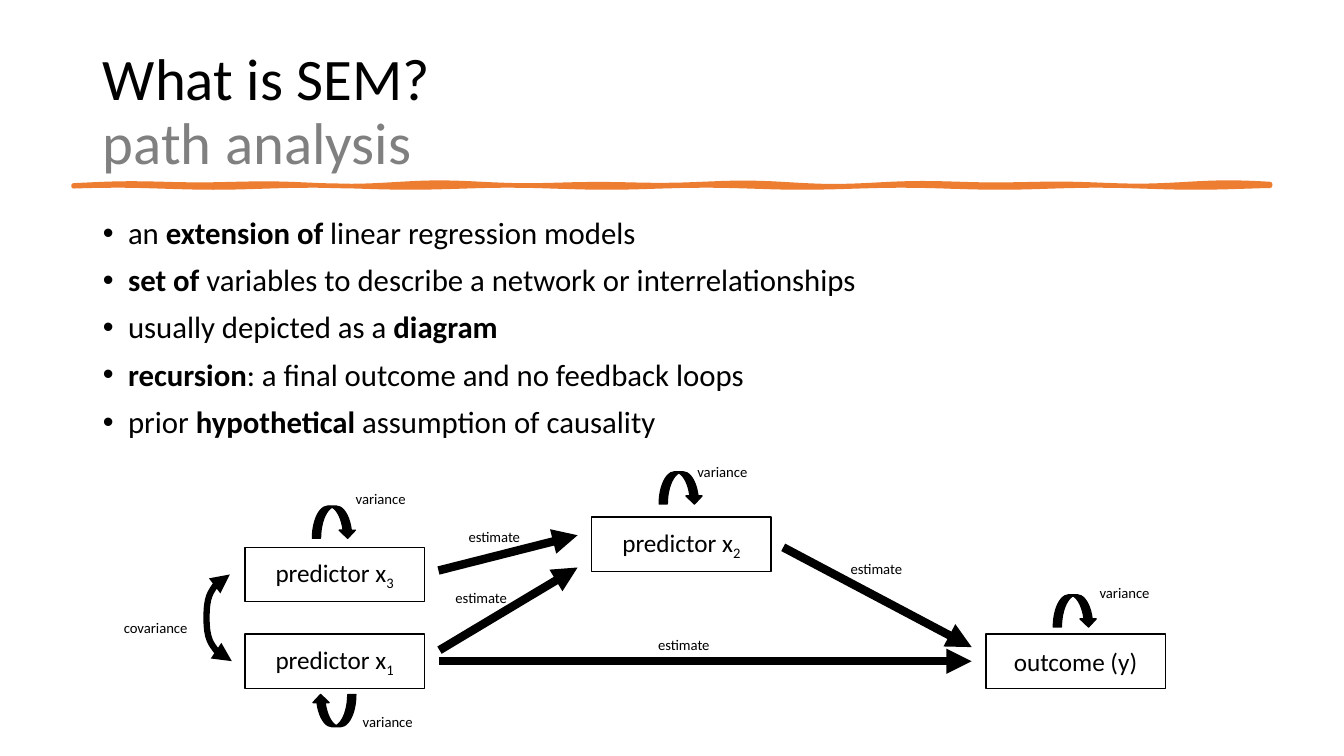
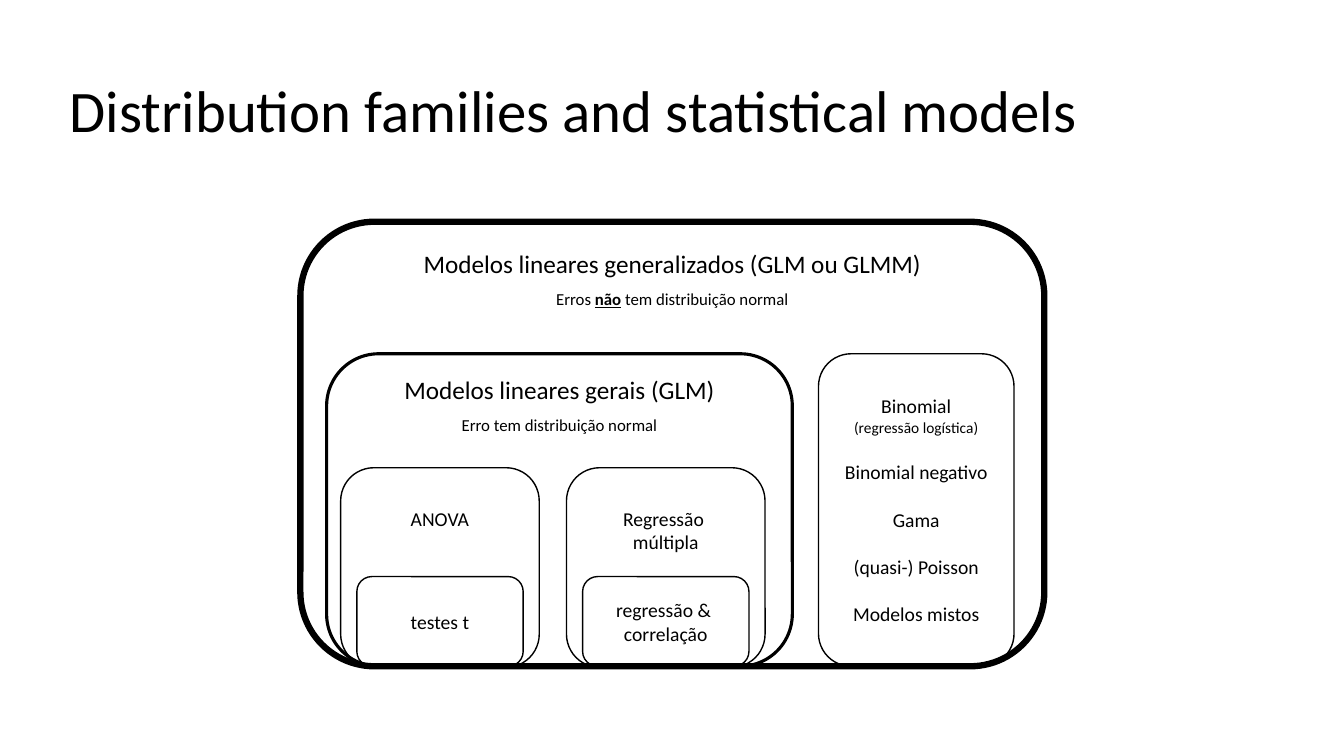
from dataclasses import dataclass
from math import sin

from lxml.etree import SubElement
from pptx import Presentation
from pptx.dml.color import RGBColor as RGB
from pptx.enum.shapes import MSO_CONNECTOR as LINE, MSO_SHAPE as SHAPE
from pptx.enum.text import MSO_ANCHOR as ANCHOR, MSO_AUTO_SIZE as AUTO, PP_ALIGN as ALIGN
from pptx.oxml.ns import qn
from pptx.util import Inches, Pt


@dataclass(frozen=True)
class Theme:
    ink: RGB = RGB(0, 0, 0)
    muted: RGB = RGB(0x80, 0x80, 0x80)
    paper: RGB = RGB(255, 255, 255)
    accent: RGB = RGB(0xED, 0x7D, 0x31)
    font: str = "Calibri"
    title: float = 42
    body: float = 22
    heading: float = 18
    item: float = 14
    note: float = 12
    detail: float = 11
    label: float = 10.5


T = Theme()
CELL = Inches(0.1)  # the slide is 133.3 columns by 75 rows
COLS, ROWS = 133.33, 75
NODE_W, NODE_H = 17.8, 5.4


def grid(*cells):
    """Turn columns or rows of the grid into EMU."""
    return [round(c * CELL) for c in cells]


def add_runs(p, runs, size):
    """Add runs; each is a text or a (text, style) pair."""
    for run in runs:
        text, style = (run, "") if isinstance(run, str) else run
        r = p.add_run()
        r.text = text
        font = r.font
        font.name, font.size = T.font, Pt(size)
        font.color.rgb = T.muted if style == "muted" else T.ink
        if "bold" in style:
            font.bold = True
        if "underline" in style:
            font.underline = True
        if style == "sub":
            r._r.get_or_add_rPr().set("baseline", "-25000")


def paragraphs(tf):
    """Yield the first paragraph, then new ones without end."""
    yield tf.paragraphs[0]
    while True:
        yield tf.add_paragraph()


def style_master(prs):
    style = prs.slide_master.element.find(".//" + qn("p:titleStyle"))
    level = style.find(qn("a:lvl1pPr"))
    level.set("algn", "l")
    level.find(qn("a:defRPr")).set("sz", str(T.title * 100))


def place(sp, left, top, width, height):
    sp.left, sp.top, sp.width, sp.height = grid(left, top, width, height)
    sp.text_frame.auto_size = AUTO.NONE


def set_title(s, left, text, subtitle=None):
    sp = s.shapes.title
    place(sp, left, 4, 115, 14.5)
    sp.text_frame.vertical_anchor = ANCHOR.MIDDLE
    p = sp.text_frame.paragraphs[0]
    p.line_spacing = 0.9
    add_runs(p, [text], T.title)
    if subtitle:
        p.add_line_break()
        add_runs(p, [(subtitle, "muted")], T.title)


def set_bullets(s, items):
    sp = s.placeholders[1]
    place(sp, 9.2, 21.1, 115, 46.5)
    for i, (p, runs) in enumerate(zip(paragraphs(sp.text_frame), items)):
        if i == len(items):
            break
        pPr = p._p.get_or_add_pPr()
        pPr.set("marL", str(Inches(0.25)))
        pPr.set("indent", str(-Inches(0.25)))
        p.line_spacing = 0.9
        p.space_before = Pt(10 if i else 0)
        add_runs(p, runs, T.body)


def add_brush_rule(s, left, top, width, thickness=0.2, steps=120):
    """Draw a wavy brush stroke across the slide."""
    xs = [left + width * i / steps for i in range(steps + 1)]
    upper = [(x, top + 0.1 * sin(x / 2.5) + 0.08 * sin(x / 4.1)) for x in xs]
    lower = [(x, top + thickness + 0.1 * sin(x / 3.1 + 1)) for x in reversed(xs)]
    start, *rest = [grid(*point) for point in upper + lower]
    builder = s.shapes.build_freeform(*start, scale=1)
    builder.add_line_segments(rest, close=True)
    paint(builder.convert_to_shape(), T.accent, T.accent, 3.25)


def paint(sp, fill, line, width):
    sp.shadow.inherit = False
    if fill is None:
        sp.fill.background()
    else:
        sp.fill.solid()
        sp.fill.fore_color.rgb = fill
    sp.line.color.rgb = line
    sp.line.width = Pt(width)


def add_box(s, kind, at, lines, fill=None, width=1, anchor=ANCHOR.MIDDLE, pad=0.5):
    """Add a box with centred lines, each (runs, size, points before)."""
    sp = s.shapes.add_shape(kind, *grid(*at))
    paint(sp, fill, T.ink, width)
    tf = sp.text_frame
    tf.word_wrap = True
    tf.vertical_anchor = anchor
    tf.margin_top, = grid(pad)
    for (runs, size, before), p in zip(lines, paragraphs(tf)):
        p.alignment = ALIGN.CENTER
        p.space_before = Pt(before)
        add_runs(p, runs, size)


def add_label(s, text, left, top, width=7.5):
    tf = s.shapes.add_textbox(*grid(left, top, width, 2.9)).text_frame
    tf.word_wrap = False
    tf.auto_size = AUTO.SHAPE_TO_FIT_TEXT
    add_runs(tf.paragraphs[0], [text], T.label)


def add_node(s, runs, left, top, loop_top, label_left, label_top, rotation=0):
    """Add a variable with its variance loop."""
    add_box(s, SHAPE.RECTANGLE, (left, top, NODE_W, NODE_H),
            [(runs, T.heading, 0)], T.paper)
    loop = s.shapes.add_shape(SHAPE.CURVED_DOWN_ARROW,
                              *grid(left + 6.7, loop_top, 4.3, 3.2))
    loop.rotation = rotation
    paint(loop, T.ink, T.ink, 1)
    add_label(s, "variance", label_left, label_top, 7.1)


def add_arrow(s, start, end, kind=LINE.STRAIGHT, width=6, ends=("tailEnd",)):
    c = s.shapes.add_connector(kind, *grid(*start, *end))
    c.line.color.rgb = T.ink
    c.line.width = Pt(width)
    spPr = c._element.spPr
    ln = spPr.find(qn("a:ln"))
    for end_name in ends:
        SubElement(ln, qn("a:" + end_name), type="triangle")
    SubElement(spPr, qn("a:effectLst"))
    return c


def add_covariance(s):
    start, end, bulge = (23, 65.6), (22.8, 57), 2.5
    c = add_arrow(s, start, end, LINE.CURVE, 4.5, ("headEnd", "tailEnd"))
    geom = c._element.spPr.find(qn("a:prstGeom"))
    av = geom.find(qn("a:avLst"))
    if av is None:
        av = SubElement(geom, qn("a:avLst"))
    bend = round(100000 * bulge / (start[0] - end[0]))
    SubElement(av, qn("a:gd"), name="adj1", fmla=f"val {bend}")
    add_label(s, "covariance", 11.3, 60.9, 8.5)


def path_analysis_slide(prs):
    s = prs.slides.add_slide(prs.slide_layouts[1])
    set_title(s, 9.2, "What is SEM?", "path analysis")
    add_brush_rule(s, 7.3, 18.3, 118.7)
    set_bullets(s, [
        ["an ", ("extension of", "bold"), " linear regression models"],
        [("set of ", "bold"), "variables to describe a network or interrelationships"],
        ["usually depicted as a ", ("diagram", "bold")],
        [("recursion", "bold"), ": a final outcome and no feedback loops"],
        ["prior ", ("hypothetical", "bold"), " assumption of causality"],
    ])
    left, middle, right = 24.3, 58.7, 97.8
    for name, index, *where in (
        ("outcome (y)", "", right, 62.9, 59, 108.1, 57.4),
        ("predictor x", "1", left, 62.9, 68.9, 35, 70.2, 180),
        ("predictor x", "2", middle, 51.3, 46.8, 68.2, 45.4),
        ("predictor x", "3", left, 54.3, 50.2, 34.3, 48.1),
    ):
        add_node(s, [name, (index, "sub")] if index else [name], *where)
    for start, end, label in (
        ((43.6, 65.6), (96.4, 65.6), (64.3, 62.6)),
        ((77.7, 54.3), (96.4, 64.2), (83.4, 55)),
        ((43.6, 64.5), (57.3, 56.3), (44.2, 57.9)),
        ((43.5, 56.6), (57.3, 53.1), (45.5, 51.9)),
    ):
        add_arrow(s, start, end)
        add_label(s, "estimate", *label)
    add_covariance(s)


def model_families_slide(prs):
    s = prs.slides.add_slide(prs.slide_layouts[5])
    set_title(s, 5.9, "Distribution families and statistical models")
    rounded, base = SHAPE.ROUNDED_RECTANGLE, 66.1
    families = (
        (29.8, 22, 73.8, 4.5, "Modelos lineares generalizados (GLM ou GLMM)",
         ["Erros ", ("não", "bold underline"), " tem distribuição normal"]),
        (32.4, 35.1, 46.2, 2.25, "Modelos lineares gerais (GLM)",
         ["Erro tem distribuição normal"]),
    )
    for left, top, width, weight, name, errors in families:
        add_box(s, rounded, (left, top, width, base - top),
                [([name], T.heading, 0), (errors, T.note, 7.3)],
                width=weight, anchor=ANCHOR.TOP)
    methods = (
        (["ANOVA"], ["testes t"]),
        (["Regressão ", "múltipla"], ["regressão & ", "correlação"]),
    )
    for i, (method, special) in enumerate(methods):
        left = 33.8 + 22.4 * i
        add_box(s, rounded, (left, 46.4, 19.7, 19.8),
                [([text], T.item, 0) for text in method],
                anchor=ANCHOR.TOP, pad=2.9)
        add_box(s, rounded, (left + 1.6, 57.2, 16.5, 8.9),
                [([text], T.item, 0) for text in special])
    others = ("Binomial negativo", "Gama", "(quasi-) Poisson", "Modelos mistos")
    add_box(s, rounded, (81.2, 35.1, 19.4, base - 35.1),
            [(["Binomial"], T.item, 0), (["(regressão logística)"], T.detail, 0)]
            + [([text], T.item, 17) for text in others])


def main():
    prs = Presentation()
    prs.slide_width, prs.slide_height = grid(COLS, ROWS)
    style_master(prs)
    path_analysis_slide(prs)
    model_families_slide(prs)
    prs.save("out.pptx")


if __name__ == "__main__":
    main()
